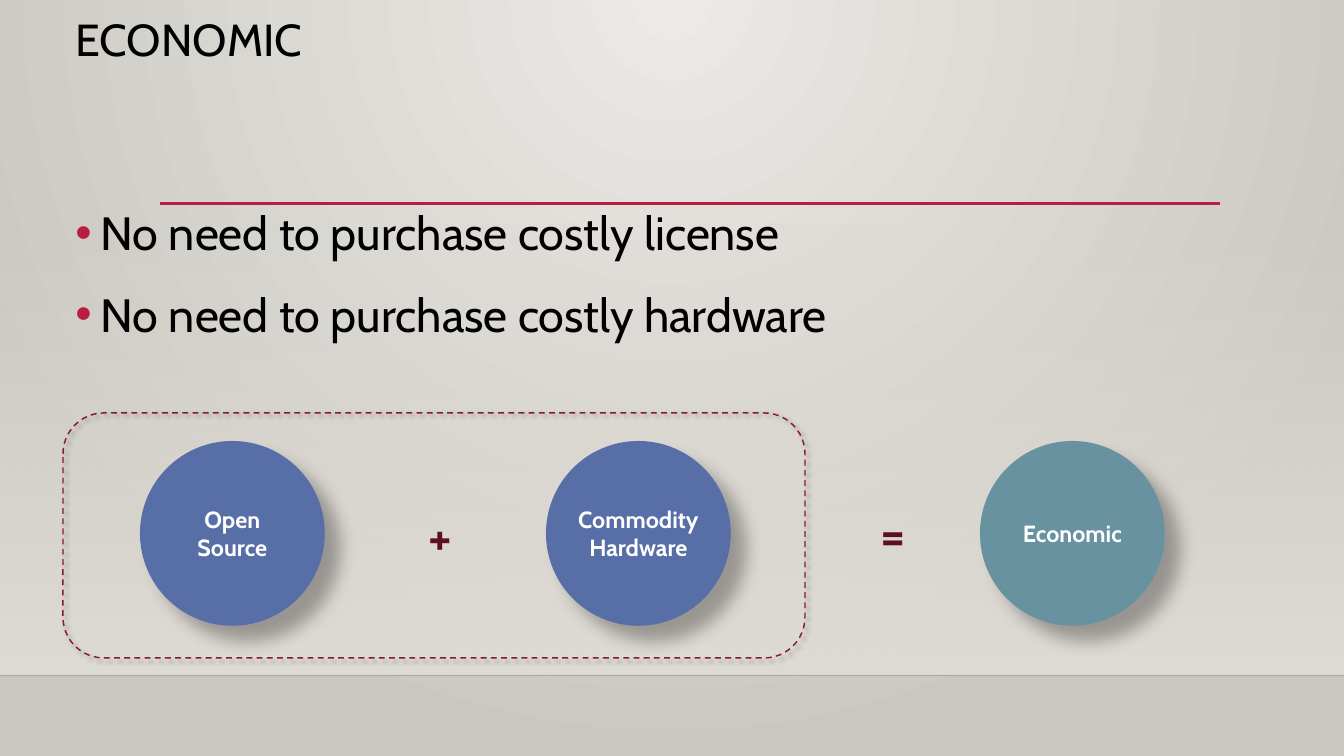
from dataclasses import dataclass

from lxml import etree
from pptx import Presentation
from pptx.dml.color import RGBColor
from pptx.enum.dml import MSO_LINE
from pptx.enum.shapes import MSO_CONNECTOR, MSO_SHAPE
from pptx.enum.text import MSO_ANCHOR, MSO_AUTO_SIZE, PP_ALIGN
from pptx.oxml import parse_xml
from pptx.oxml.ns import nsdecls, qn
from pptx.util import Pt

STRAIGHT = MSO_CONNECTOR.STRAIGHT
RECTANGLE, ROUNDED, OVAL = MSO_SHAPE.RECTANGLE, MSO_SHAPE.ROUNDED_RECTANGLE, MSO_SHAPE.OVAL
TOP, MIDDLE = MSO_ANCHOR.TOP, MSO_ANCHOR.MIDDLE
LEFT, CENTER = PP_ALIGN.LEFT, PP_ALIGN.CENTER
FIXED, GROW = MSO_AUTO_SIZE.NONE, MSO_AUTO_SIZE.SHAPE_TO_FIT_TEXT
DASH = MSO_LINE.DASH

FONT = "Cabin"
BLACK, WHITE, RED, WINE = "000000", "FFFFFF", "B71E42", "5C0F21"
BLUE, TEAL = "586EA6", "6892A0"
WIDTH, HEIGHT = 1152, 648
FLOOR = 579
CIRCLE_TOP, CIRCLE_SIZE = 378, 158.4


@dataclass
class Shadow:
    opacity: int
    blur: float
    distance: float


@dataclass
class Circle:
    text: str
    left: float
    colour: str


@dataclass
class Operator:
    sign: str
    left: float
    top: float


BULLETS = ["No need to purchase costly license", "No need to purchase costly hardware"]
CIRCLES = [
    Circle("Economic", 840, TEAL),
    Circle("Open Source", 120, BLUE),
    Circle("Commodity Hardware", 468, BLUE),
]
OPERATORS = [Operator("=", 747.4, 427), Operator("+", 360, 428.4)]
CIRCLE_SHADOW = Shadow(30, 15, 18)
FRAME_SHADOW = Shadow(40, 4, 3)


def rgb(colour: str) -> RGBColor:
    return RGBColor.from_string(colour)


def style_font(paragraph, size: float, colour: str, bold: bool = False) -> None:
    font = paragraph.font
    font.name, font.size, font.bold = FONT, Pt(size), bold
    font.color.rgb = rgb(colour)


def set_alpha(fill_element, percent: int) -> None:
    """Set the opacity of the first colour inside a fill or line."""
    colour = next(fill_element.iter(qn("a:srgbClr")))
    etree.SubElement(colour, qn("a:alpha")).set("val", str(percent * 1000))


def add_background(slide) -> None:
    """Lay a circular gradient that spreads from the top centre."""
    slide.element.cSld.insert(0, parse_xml(
        f'<p:bg {nsdecls("p", "a")}><p:bgPr><a:gradFill rotWithShape="1"><a:gsLst>'
        '<a:gs pos="0"><a:srgbClr val="ECEAE7"/></a:gs>'
        '<a:gs pos="100000"><a:srgbClr val="CAC7C1"/></a:gs></a:gsLst>'
        '<a:path path="circle"><a:fillToRect l="43000" r="43000" b="100000"/></a:path>'
        "</a:gradFill><a:effectLst/></p:bgPr></p:bg>"))


def add_wall(slide) -> None:
    """Fade a rectangle in from clear down to the floor line."""
    top = 190.8
    wall = slide.shapes.add_shape(RECTANGLE, 0, Pt(top), Pt(WIDTH), Pt(FLOOR - top))
    wall.shadow.inherit = False
    wall.line.fill.background()
    wall.fill.gradient()
    wall.fill.gradient_angle = 270
    for stop, position in zip(wall.fill.gradient_stops, (0, 1)):
        stop.position = position
        stop.color.rgb = rgb("DFDBD5")
    set_alpha(wall.element.spPr.find(qn("a:gradFill")), 0)


def add_rule(slide, left: float, right: float, top: float, colour: str, width: float):
    rule = slide.shapes.add_connector(STRAIGHT, Pt(left), Pt(top), Pt(right), Pt(top))
    rule.line.color.rgb = rgb(colour)
    rule.line.width = Pt(width)
    etree.SubElement(rule.element.spPr, qn("a:effectLst"))
    return rule


def add_shadow(shape, shadow: Shadow) -> None:
    """Cast a black shadow towards the lower right."""
    shape.shadow.inherit = False
    effects = shape.element.spPr.find(qn("a:effectLst"))
    effects.append(parse_xml(
        f'<a:outerShdw {nsdecls("a")} blurRad="{Pt(shadow.blur)}" dist="{Pt(shadow.distance)}" '
        f'dir="2700000" algn="tl" rotWithShape="0"><a:srgbClr val="{BLACK}">'
        f'<a:alpha val="{shadow.opacity * 1000}"/></a:srgbClr></a:outerShdw>'))


def add_frame(slide) -> None:
    frame = slide.shapes.add_shape(ROUNDED, Pt(54), Pt(354), Pt(636), Pt(210))
    frame.fill.background()
    frame.line.color.rgb = rgb("891731")
    frame.line.width = Pt(1.25)
    frame.line.dash_style = DASH
    add_shadow(frame, FRAME_SHADOW)


def set_title(slide, text: str) -> None:
    title = slide.shapes.title
    title.left, title.top, title.width, title.height = Pt(57.6), Pt(12), Pt(1036.8), Pt(81.6)
    frame = title.text_frame
    frame.text = text
    frame.vertical_anchor, frame.auto_size = TOP, FIXED
    paragraph = frame.paragraphs[0]
    paragraph.alignment, paragraph.line_spacing = LEFT, 0.9
    style_font(paragraph, 38.4, BLACK)


def add_bullets(slide) -> None:
    frame = slide.shapes.add_textbox(Pt(57.6), Pt(162), Pt(824.4), Pt(192)).text_frame
    frame.word_wrap = True
    frame.text = "\n".join(BULLETS)
    for paragraph in frame.paragraphs:
        paragraph.line_spacing, paragraph.space_before = 1.2, Pt(12)
        style_font(paragraph, 40, BLACK)
        properties = paragraph._p.get_or_add_pPr()
        properties.set("marL", str(Pt(21.6)))
        properties.set("indent", str(Pt(-21.6)))
        position = properties.index(properties.find(qn("a:defRPr")))
        for offset, markup in enumerate((
            f'<a:buClr {nsdecls("a")}><a:srgbClr val="{RED}"/></a:buClr>',
            f'<a:buFont {nsdecls("a")} typeface="Arial"/>',
            f'<a:buChar {nsdecls("a")} char="•"/>',
        )):
            properties.insert(position + offset, parse_xml(markup))


def add_circle(slide, circle: Circle) -> None:
    shape = slide.shapes.add_shape(
        OVAL, Pt(circle.left), Pt(CIRCLE_TOP), Pt(CIRCLE_SIZE), Pt(CIRCLE_SIZE))
    shape.fill.solid()
    shape.fill.fore_color.rgb = rgb(circle.colour)
    shape.line.fill.background()
    add_shadow(shape, CIRCLE_SHADOW)
    frame = shape.text_frame
    frame.text = circle.text
    frame.word_wrap, frame.vertical_anchor = True, MIDDLE
    frame.margin_left = frame.margin_right = 0
    paragraph = frame.paragraphs[0]
    paragraph.alignment = CENTER
    style_font(paragraph, 20, WHITE, bold=True)


def add_operator(slide, operator: Operator) -> None:
    box = slide.shapes.add_textbox(Pt(operator.left), Pt(operator.top), Pt(36.7), Pt(60.5))
    frame = box.text_frame
    frame.text = operator.sign
    frame.word_wrap, frame.auto_size = False, GROW
    style_font(frame.paragraphs[0], 44, WINE, bold=True)


def main() -> None:
    presentation = Presentation()
    presentation.slide_width, presentation.slide_height = Pt(WIDTH), Pt(HEIGHT)
    slide = presentation.slides.add_slide(presentation.slide_layouts.get_by_name("Title Only"))
    add_background(slide)
    add_wall(slide)
    floor = add_rule(slide, 0, WIDTH, FLOOR, "000001", 1)
    set_alpha(floor.element.spPr.find(qn("a:ln")), 20)
    add_rule(slide, 137.5, 1045.4, 174.2, RED, 2.5)
    add_frame(slide)
    set_title(slide, "ECONOMIC")
    add_bullets(slide)
    for circle in CIRCLES:
        add_circle(slide, circle)
    for operator in OPERATORS:
        add_operator(slide, operator)
    presentation.save("out.pptx")


if __name__ == "__main__":
    main()
